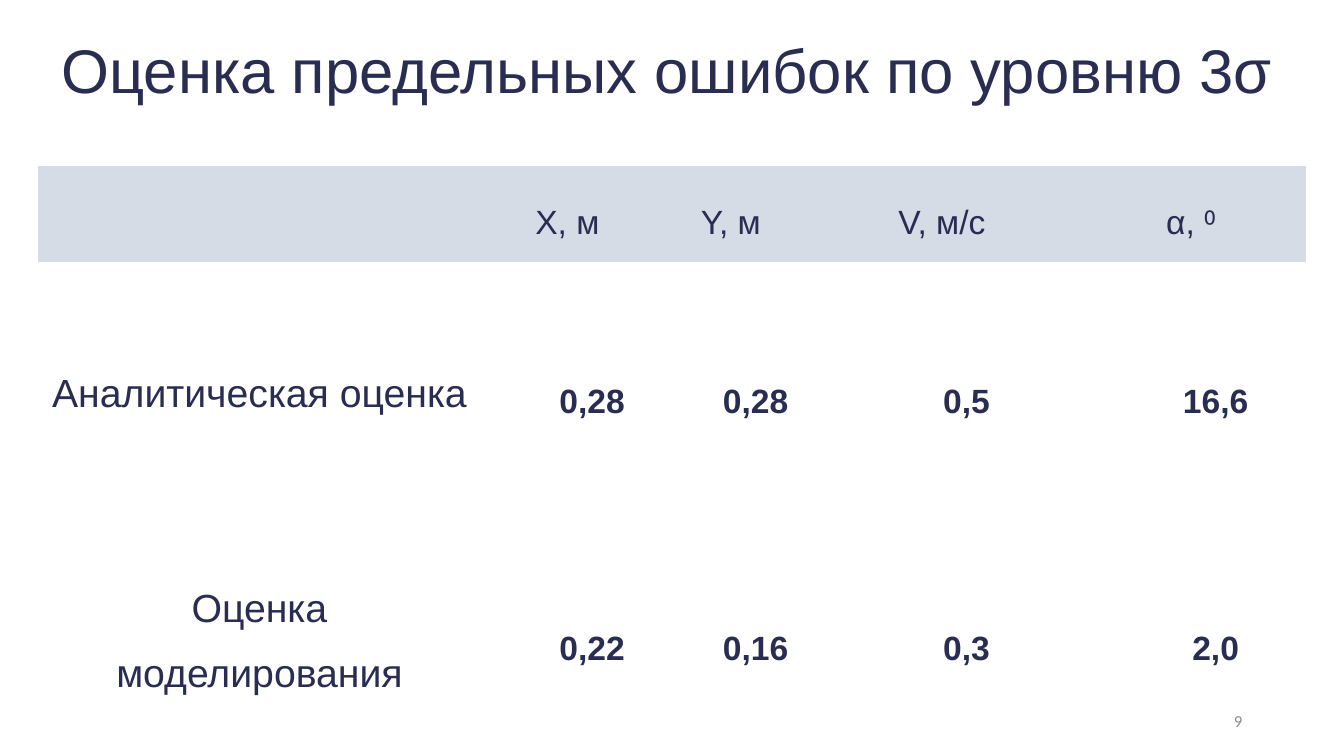
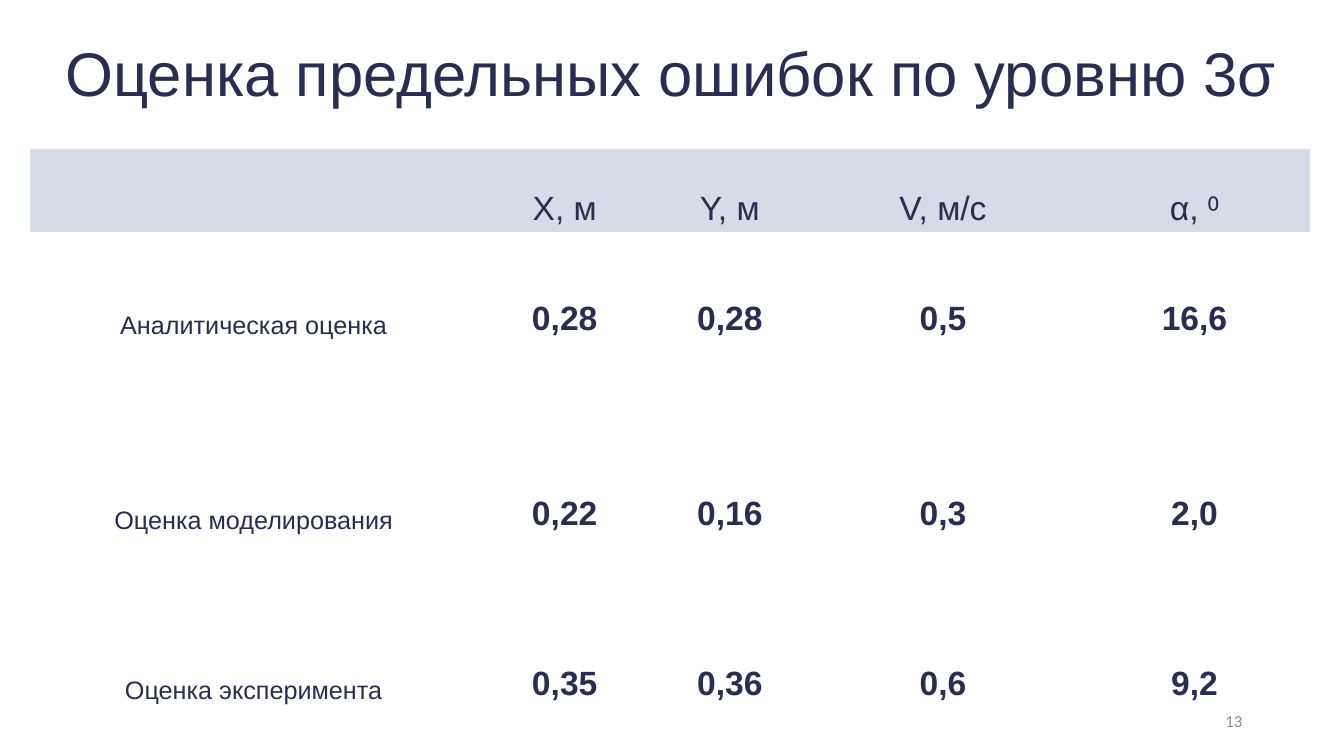
from dataclasses import dataclass
from typing import Optional

from pptx import Presentation
from pptx.dml.color import RGBColor
from pptx.enum.text import MSO_ANCHOR, MSO_AUTO_SIZE, PP_ALIGN
from pptx.oxml.ns import qn
from pptx.util import Inches, Pt

# Shared look
COLORS = {"ink": "292D51", "header": "D6DCE5", "page": "8C8C8C"}
TITLE = "Оценка предельных ошибок по уровню 3σ"
TITLE_HEIGHT = 19.33
PAGE_NUMBER_BOX = (70.67, 92.67, 22.5, 5.33)
PLAIN_TABLE_STYLE = "{2D5ABB26-0587-4C30-8999-92F81FD0307C}"
COLUMN_SHARES = (34.9, 13.7, 12.1, 21.2, 18.1)
HEADINGS = ("", "Х, м", "Y, м", "V, м/с", "α, ⁰")

# Error estimates, one row per method
ANALYTIC = ("Аналитическая оценка", "0,28", "0,28", "0,5", "16,6")
SIMULATION = ("Оценка моделирования", "0,22", "0,16", "0,3", "2,0")
EXPERIMENT = ("Оценка эксперимента", "0,35", "0,36", "0,6", "9,2")


@dataclass(frozen=True)
class CellStyle:
    size: int
    spacing: float
    bold: bool = False
    indent: float = 0
    anchor: MSO_ANCHOR = MSO_ANCHOR.MIDDLE
    fill: Optional[str] = None


@dataclass(frozen=True)
class ErrorSlide:
    """Places are percentages of the slide's width and height."""
    number: int
    title_place: tuple[float, float, float]
    table_place: tuple[float, float, float]
    row_heights: tuple[float, ...]
    estimates: tuple[tuple[str, ...], ...]
    cell_margin: float
    heading: CellStyle
    method: CellStyle
    value: CellStyle


SLIDES = (
    ErrorSlide(
        9, (2.85, 0, 93.62), (2.85, 22, 94.3), (12.67, 32, 33.47),
        (ANALYTIC, SIMULATION), 0.07,
        heading=CellStyle(24, 2, anchor=MSO_ANCHOR.TOP, fill="header"),
        method=CellStyle(28, 1.5),
        value=CellStyle(24, 2, bold=True, indent=0.49),
    ),
    ErrorSlide(
        13, (2.25, 0.4, 95.42), (2.25, 19.73, 95.25),
        (10.93, 22.93, 28.67, 16.4),
        (ANALYTIC, SIMULATION, EXPERIMENT), 0.06,
        heading=CellStyle(24, 2, fill="header"),
        method=CellStyle(18, 1.5),
        value=CellStyle(24, 1, bold=True),
    ),
)

deck = Presentation()
deck.slide_width, deck.slide_height = Inches(13.33), Inches(7.5)


def across(percent: float) -> int:
    return round(deck.slide_width * percent / 100)


def down(percent: float) -> int:
    return round(deck.slide_height * percent / 100)


def place(shape, left: float, top: float, width: float, height: float) -> None:
    shape.left, shape.top = across(left), down(top)
    shape.width, shape.height = across(width), down(height)


def write(paragraph, text: str, size: int, color: str, align: PP_ALIGN,
          font: str = "Arial", bold: bool = False) -> None:
    paragraph.text = text
    paragraph.alignment = align
    for run in paragraph.runs:
        run.font.name, run.font.size, run.font.bold = font, Pt(size), bold
        run.font.color.rgb = RGBColor.from_string(COLORS[color])


def draw_title(slide, content: ErrorSlide) -> None:
    title = slide.shapes.title
    place(title, *content.title_place, TITLE_HEIGHT)
    frame = title.text_frame
    frame.auto_size = MSO_AUTO_SIZE.NONE
    frame.vertical_anchor = MSO_ANCHOR.MIDDLE
    write(frame.paragraphs[0], TITLE, 44, "ink", PP_ALIGN.CENTER)
    frame.paragraphs[0].line_spacing = 0.9


def draw_cell(cell, text: str, style: CellStyle, margin: float) -> None:
    if style.fill:
        cell.fill.solid()
        cell.fill.fore_color.rgb = RGBColor.from_string(COLORS[style.fill])
    else:
        cell.fill.background()
    if not text:
        return
    cell.margin_left = cell.margin_right = Inches(margin)
    cell.margin_top = cell.margin_bottom = 0
    cell.vertical_anchor = style.anchor
    paragraph = cell.text_frame.paragraphs[0]
    write(paragraph, text, style.size, "ink", PP_ALIGN.CENTER, bold=style.bold)
    paragraph.line_spacing = style.spacing
    paragraph.space_after = Pt(2)
    if style.indent:
        paragraph._p.get_or_add_pPr().set("indent", str(Inches(style.indent)))


def draw_estimates(slide, content: ErrorSlide) -> None:
    left, top, width = content.table_place
    rows = (HEADINGS, *content.estimates)
    frame = slide.shapes.add_table(
        len(rows), len(HEADINGS), across(left), down(top),
        across(width), down(sum(content.row_heights)))
    frame.element.find(".//" + qn("a:tableStyleId")).text = PLAIN_TABLE_STYLE
    table = frame.table
    table.first_row = table.horz_banding = False
    for column, share in zip(table.columns, COLUMN_SHARES):
        column.width = across(width * share / 100)
    for row, height in zip(table.rows, content.row_heights):
        row.height = down(height)
    for row_index, texts in enumerate(rows):
        for column_index, text in enumerate(texts):
            if row_index == 0:
                style = content.heading
            else:
                style = content.value if column_index else content.method
            draw_cell(table.cell(row_index, column_index), text, style,
                      content.cell_margin)


def draw_page_number(slide, number: int) -> None:
    page_number = slide.shapes.add_textbox(0, 0, 0, 0)
    place(page_number, *PAGE_NUMBER_BOX)
    frame = page_number.text_frame
    frame.word_wrap = True
    frame.vertical_anchor = MSO_ANCHOR.MIDDLE
    write(frame.paragraphs[0], str(number), 12, "page", PP_ALIGN.RIGHT,
          font="Calibri")


# Build the slides on the "Title Only" layout
for content in SLIDES:
    slide = deck.slides.add_slide(deck.slide_layouts[5])
    draw_title(slide, content)
    draw_estimates(slide, content)
    draw_page_number(slide, content.number)

deck.save("out.pptx")
